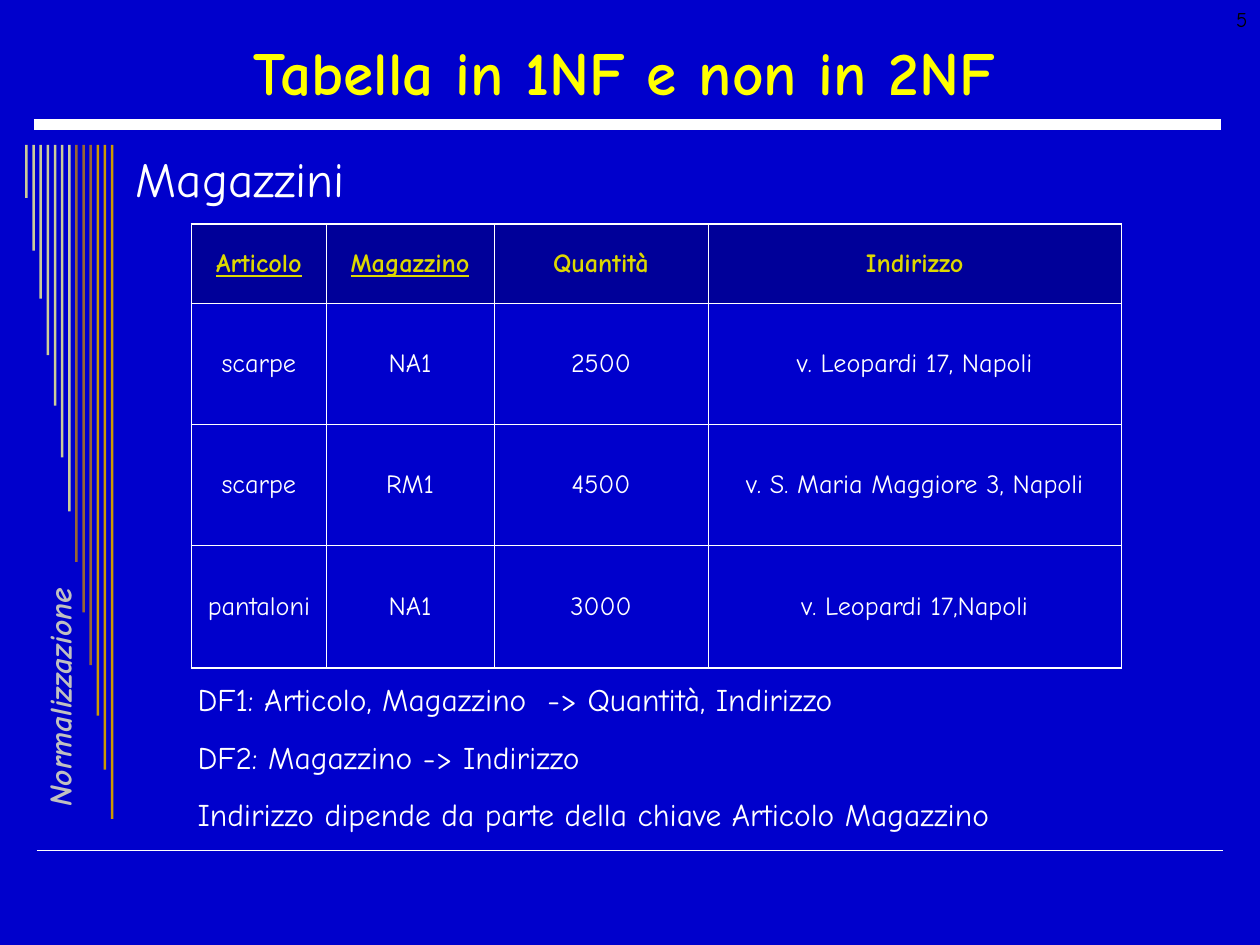
from dataclasses import dataclass
from typing import NamedTuple

from lxml import etree
from pptx import Presentation
from pptx.dml.color import RGBColor as Rgb
from pptx.enum.shapes import MSO_CONNECTOR as Connector, MSO_SHAPE as Preset
from pptx.enum.text import MSO_ANCHOR as Anchor, PP_ALIGN as Align
from pptx.oxml.ns import qn
from pptx.util import Inches, Pt


@dataclass(frozen=True)
class Theme:
    """Colours, font and type sizes of the deck."""
    font: str = "Comic Neue"
    background: str = "0000CC"
    header_fill: str = "000099"
    header_text: str = "DDD800"
    title: str = "FFFF00"
    white: str = "FFFFFF"
    black: str = "000000"
    silver: str = "C0C0C0"
    outline: str = "333300"
    stripes: tuple = ("CCCC99",) * 7 + ("996633",) * 3 + ("CC9900",) * 3
    title_size: float = 35
    heading_size: float = 28
    body_size: float = 18
    cell_size: float = 15
    number_size: float = 12
    outer_border: float = 1.08
    inner_border: float = 0.45


class Box(NamedTuple):
    """A region of the page, in lengths."""
    left: int
    top: int
    width: int
    height: int


THEME = Theme()

STRIPE_HEIGHTS = (0.42, 0.84, 1.22, 1.67, 2.07, 2.48, 2.91,
                  3.31, 3.71, 4.13, 4.53, 4.96, 5.35)

COLUMN_WIDTHS = (1.07, 1.33, 1.7, 3.28)
ROW_HEIGHTS = (0.63, 0.96, 0.96, 0.97)
KEY_COLUMNS = ("Articolo", "Magazzino")
ROWS = (
    (*KEY_COLUMNS, "Quantità", "Indirizzo"),
    ("scarpe", "NA1", "2500", "v. Leopardi 17, Napoli"),
    ("scarpe", "RM1", "4500", "v. S. Maria Maggiore 3, Napoli"),
    ("pantaloni", "NA1", "3000", "v. Leopardi 17,Napoli"),
)

DEPENDENCIES = (
    "DF1: Articolo, Magazzino  -> Quantità, Indirizzo",
    "DF2: Magazzino -> Indirizzo",
    "Indirizzo dipende da parte della chiave Articolo Magazzino",
)


def add_span(para, text, size, color, bold=False, italic=False, underline=False):
    """Append one styled run to a paragraph and return it."""
    span = para.add_run()
    span.text = text
    font = span.font
    font.name, font.size = THEME.font, Pt(size)
    font.color.rgb = Rgb.from_string(color)
    font.bold, font.italic, font.underline = bold, italic, underline
    return span


def add_frame(page, box, wrap=True):
    """Add an empty text box and return its shape."""
    shape = page.shapes.add_textbox(*box)
    shape.text_frame.word_wrap = wrap
    return shape


def add_rule(page, box, weight):
    """Draw a white horizontal rule along the top of the box."""
    left, top, width, _ = box
    rule = page.shapes.add_connector(Connector.STRAIGHT, left, top, left + width, top)
    rule.line.color.rgb = Rgb.from_string(THEME.white)
    rule.line.width = Pt(weight)
    etree.SubElement(rule._element.spPr, qn("a:effectLst"))


def add_stripes(page, box):
    """Draw the evenly spaced vertical stripes, growing to the right."""
    stripe_width = Inches(0.02)
    step = (box.width - stripe_width) / (len(STRIPE_HEIGHTS) - 1)
    for index, (height, color) in enumerate(zip(STRIPE_HEIGHTS, THEME.stripes)):
        stripe = page.shapes.add_shape(
            Preset.RECTANGLE, box.left + round(index * step), box.top,
            stripe_width, Inches(height))
        stripe.shadow.inherit = False
        stripe.fill.solid()
        stripe.fill.fore_color.rgb = Rgb.from_string(color)
        stripe.line.fill.background()


def add_side_label(page, box):
    """Write the outlined topic name, turned to read upwards."""
    shape = add_frame(page, box, wrap=False)
    shape.rotation = 270
    span = add_span(shape.text_frame.paragraphs[0], "Normalizzazione",
                    THEME.body_size, THEME.silver, bold=True, italic=True)
    line = etree.Element(qn("a:ln"), w=str(Pt(0.75)))
    fill = etree.SubElement(line, qn("a:solidFill"))
    etree.SubElement(fill, qn("a:srgbClr"), val=THEME.outline)
    span.font._element.insert(0, line)


def add_title(page, box):
    """Write the centred page title."""
    frame = add_frame(page, box).text_frame
    frame.vertical_anchor = Anchor.MIDDLE
    para = frame.paragraphs[0]
    para.alignment = Align.CENTER
    add_span(para, "Tabella in 1NF e non in 2NF", THEME.title_size, THEME.title, bold=True)


def add_heading(page, box):
    """Write the indented name of the table."""
    para = add_frame(page, box).text_frame.paragraphs[0]
    para._p.get_or_add_pPr().set("marL", str(Inches(0.24)))
    add_span(para, "Magazzini", THEME.heading_size, THEME.white)


def set_borders(cell, weights):
    """Give a cell white borders from weights in left, right, top, bottom order."""
    properties = cell._tc.get_or_add_tcPr()
    for position, (side, weight) in enumerate(zip("LRTB", weights)):
        line = etree.Element(qn(f"a:ln{side}"), w=str(Pt(weight)))
        fill = etree.SubElement(line, qn("a:solidFill"))
        etree.SubElement(fill, qn("a:srgbClr"), val=THEME.white)
        properties.insert(position, line)


def add_stock_table(page, box):
    """Place the stock table with its header row and underlined key columns."""
    last_row, last_column = len(ROWS) - 1, len(COLUMN_WIDTHS) - 1
    table = page.shapes.add_table(last_row + 1, last_column + 1, *box).table
    table.first_row = table.horz_banding = False
    for column, width in zip(table.columns, COLUMN_WIDTHS):
        column.width = Inches(width)
    for row, height in zip(table.rows, ROW_HEIGHTS):
        row.height = Inches(height)
    for r, values in enumerate(ROWS):
        header = r == 0
        for c, value in enumerate(values):
            cell = table.cell(r, c)
            cell.vertical_anchor = Anchor.MIDDLE
            cell.margin_left = cell.margin_right = Inches(0.1)
            if header:
                cell.fill.solid()
                cell.fill.fore_color.rgb = Rgb.from_string(THEME.header_fill)
            else:
                cell.fill.background()
            edges = (c == 0, c == last_column, header, r == last_row)
            set_borders(cell, [THEME.outer_border if edge else THEME.inner_border
                               for edge in edges])
            para = cell.text_frame.paragraphs[0]
            para.alignment = Align.CENTER
            add_span(para, value, THEME.cell_size,
                     THEME.header_text if header else THEME.white,
                     bold=header, underline=header and value in KEY_COLUMNS)


def add_dependencies(page, box):
    """List the functional dependencies below the table."""
    frame = add_frame(page, box).text_frame
    for index, text in enumerate(DEPENDENCIES):
        para = frame.add_paragraph() if index else frame.paragraphs[0]
        if index:
            para.space_before = Pt(11.2)
        add_span(para, text, THEME.body_size, THEME.white)


def add_page_number(page, box):
    """Write the page number at the right."""
    para = add_frame(page, box).text_frame.paragraphs[0]
    para.alignment = Align.RIGHT
    add_span(para, "5", THEME.number_size, THEME.black)


def main():
    """Build the deck and save it."""
    deck = Presentation()
    deck.slide_width, deck.slide_height = Inches(10), Inches(7.5)
    page = deck.slides.add_slide(deck.slide_layouts[6])
    page.background.fill.solid()
    page.background.fill.fore_color.rgb = Rgb.from_string(THEME.background)

    def area(*lengths):
        """Turn lengths in inches into a box."""
        return Box(*map(Inches, lengths))

    add_rule(page, area(0.29, 6.75, 9.42, 0), 1)
    add_rule(page, area(0.27, 0.99, 9.42, 0), 6)
    add_stripes(page, area(0.2, 1.15, 0.7, 5.35))
    add_side_label(page, area(-0.75, 5.24, 2.28, 0.24))
    add_title(page, area(0.35, 0.21, 9.21, 0.71))
    add_heading(page, area(0.74, 1.13, 8.83, 5.53))
    add_stock_table(page, area(1.52, 1.78, 7.39, 3.52))
    add_dependencies(page, area(1.47, 5.35, 7.5, 1.32))
    add_page_number(page, area(7.67, 0, 2.33, 0.5))
    deck.save("out.pptx")


if __name__ == "__main__":
    main()
